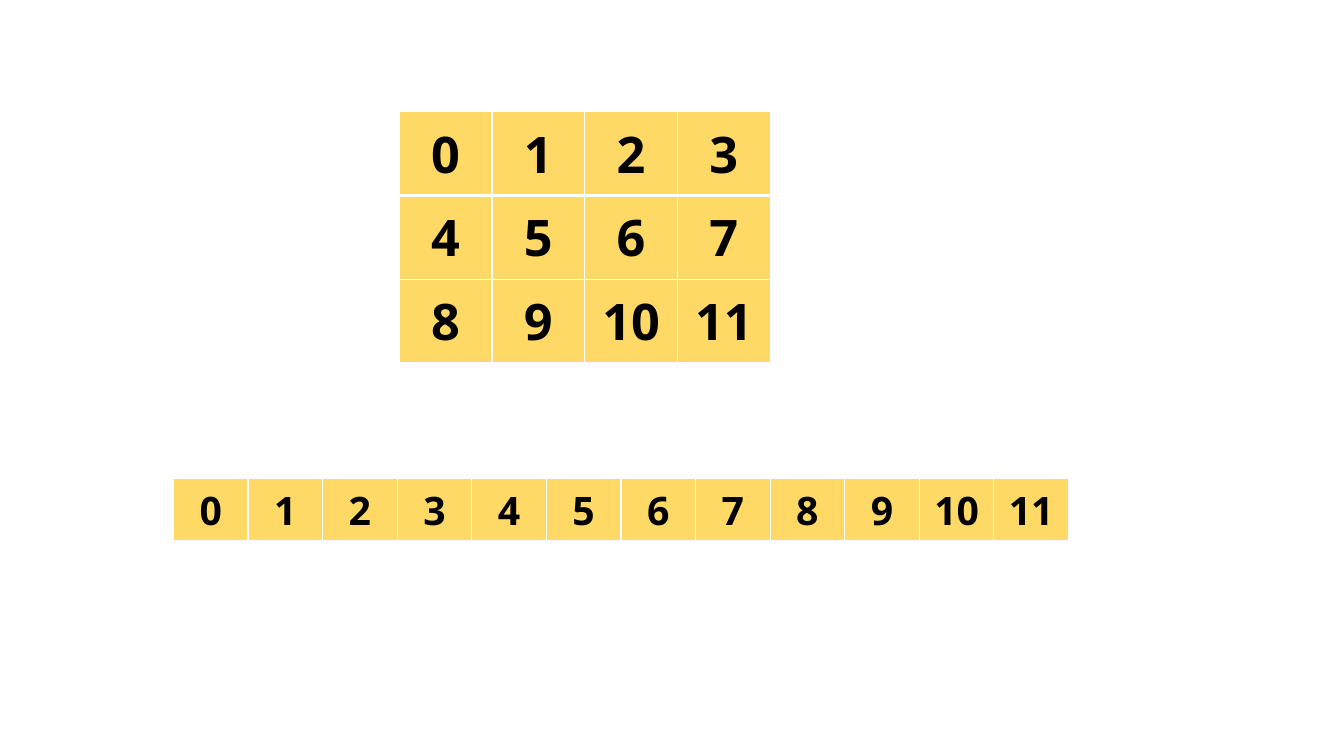
from pptx import Presentation
from pptx.dml.color import RGBColor
from pptx.enum import text
from pptx.oxml import parse_xml
from pptx.oxml.ns import nsdecls
from pptx.util import Inches, Pt

WHITE, YELLOW, BLACK = "FFFFFF", "FFD966", "000000"


def rgb(color):
    return RGBColor.from_string(color)


def set_borders(cell, widths):
    """Draw white cell borders; widths gives points for each side."""
    properties = cell._tc.get_or_add_tcPr()
    for position, (side, width) in enumerate(widths.items()):
        border = parse_xml(
            f'<a:ln{side} {nsdecls("a")} w="{Pt(width)}">'
            f'<a:solidFill><a:srgbClr val="{WHITE}"/></a:solidFill></a:ln{side}>'
        )
        properties.insert(position, border)


presentation = Presentation()
presentation.slide_width = Inches(13.33)
presentation.slide_height = Inches(7.5)
slide = presentation.slides.add_slide(presentation.slide_layouts[6])

# The same numbers as a 3 x 4 matrix and as a flat row:
# rows, columns, left, top, column width, row height, font size
arrays = [
    (3, 4, 3.96, 1.11, 0.92, 0.83, 36),
    (1, 12, 1.72, 4.75, 0.74, 0.57, 28),
]

for rows, columns, left, top, width, height, size in arrays:
    table = slide.shapes.add_table(
        rows, columns, Inches(left), Inches(top),
        Inches(columns * width), Inches(rows * height),
    ).table
    table.horz_banding = False
    for column in table.columns:
        column.width = Inches(width)
    for row in table.rows:
        row.height = Inches(height)

    for number, cell in enumerate(table.iter_cells()):
        row_index = number // columns
        cell.fill.solid()
        cell.fill.fore_color.rgb = rgb(YELLOW)
        cell.vertical_anchor = text.MSO_ANCHOR.MIDDLE
        set_borders(cell, {
            "L": 1,
            "R": 1,
            "T": 3 if row_index == 1 else 1,
            "B": 3 if row_index == 0 else 1,
        })
        paragraph = cell.text_frame.paragraphs[0]
        paragraph.alignment = text.PP_ALIGN.CENTER
        run = paragraph.add_run()
        run.text = str(number)
        run.font.name = "Open Sans"
        run.font.size = Pt(size)
        run.font.bold = True
        run.font.color.rgb = rgb(BLACK)

presentation.save("out.pptx")
